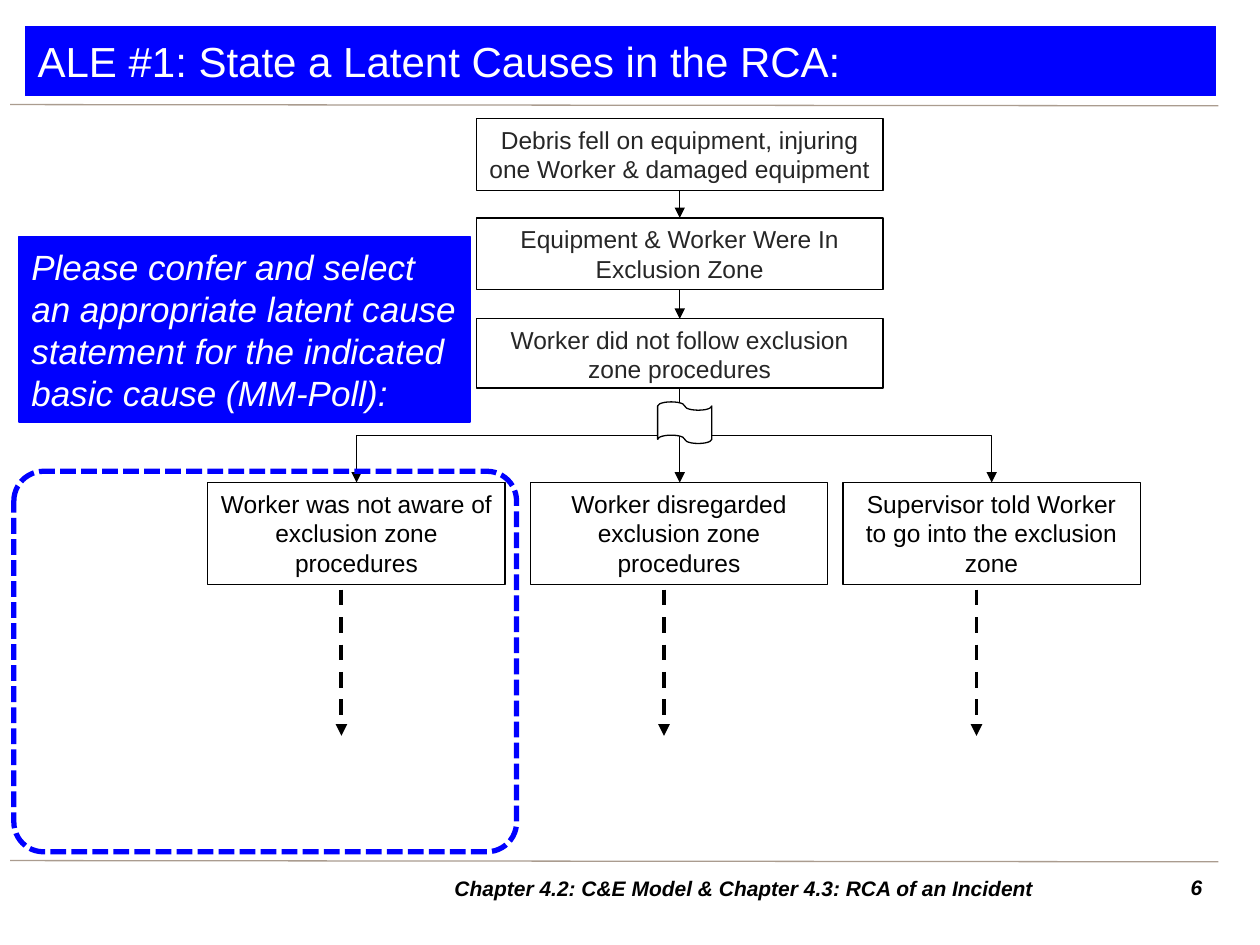
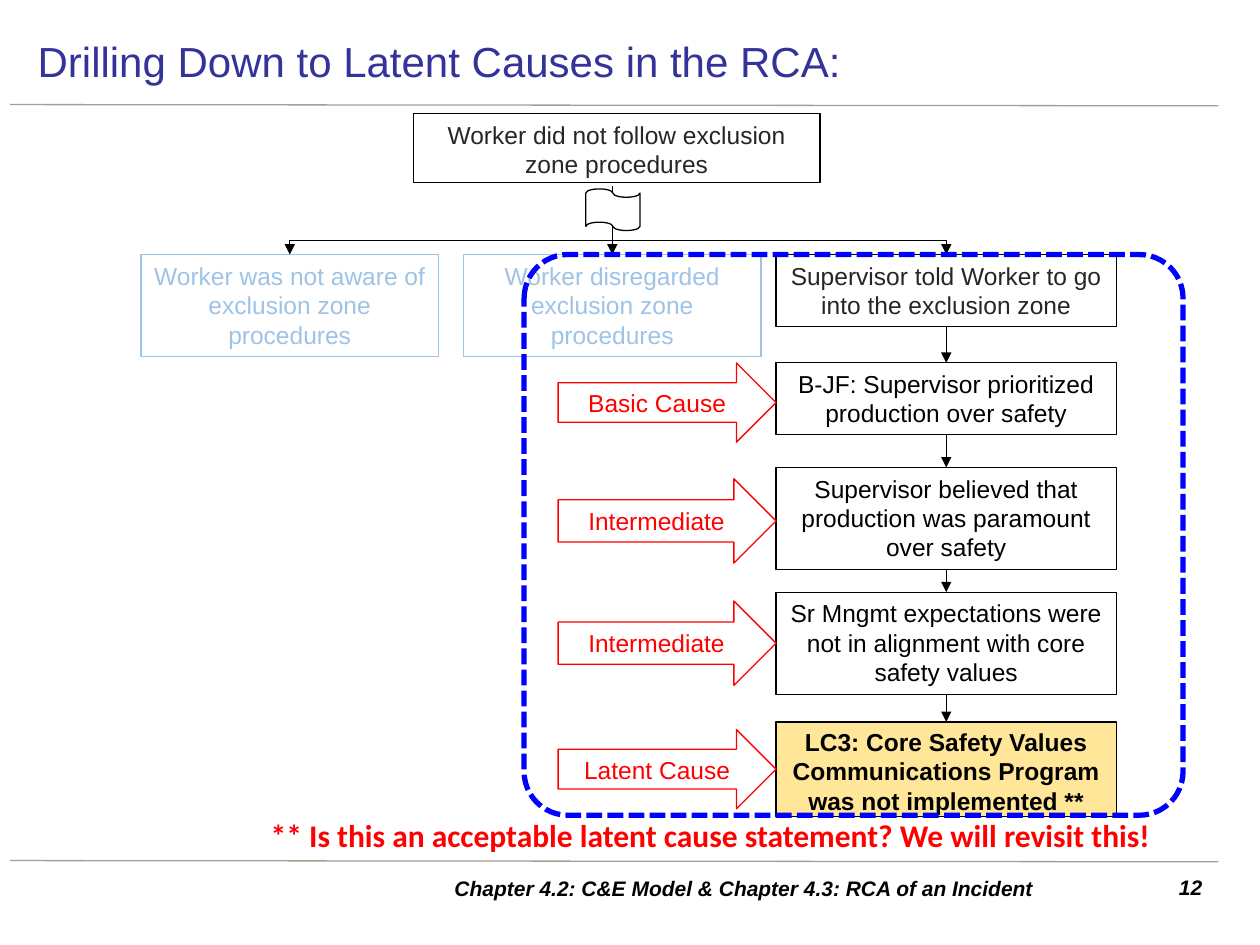
from itertools import pairwise
from lxml import etree
from pptx import Presentation
from pptx.dml.color import RGBColor
from pptx.enum.dml import MSO_LINE
from pptx.enum.shapes import MSO_CONNECTOR, MSO_SHAPE
from pptx.enum.text import MSO_ANCHOR, PP_ALIGN
from pptx.oxml.ns import qn
from pptx.util import Inches, Pt

COLORS = {
    "rule": "AA9C8F", "black": "000000", "ink": "262626", "white": "FFFFFF",
    "blue": "0000FF", "title": "333399", "faded": "9DC3E6",
    "red": "FF0000", "gold": "FFE699",
}
FOOTER = "Chapter 4.2: C&E Model & Chapter 4.3: RCA of an Incident"
TITLE_AREA = (0.2, 0.21, 9.45, 0.55)

NOT_FOLLOWED = "Worker did not follow exclusion zone procedures"
NOT_AWARE = "Worker was not aware of exclusion zone procedures"
DISREGARDED = "Worker disregarded exclusion zone procedures"
TOLD = "Supervisor told Worker to go into the exclusion zone"

ALE_TITLE = "ALE #1: State a Latent Causes in the RCA:"
ALE_PROMPT = ("Please confer and select an appropriate latent cause statement "
              "for the indicated basic cause (MM-Poll):")
ALE_CHAIN = [
    ("Debris fell on equipment, injuring one Worker & damaged equipment", 0.94, 0.57),
    ("Equipment & Worker Were In Exclusion Zone", 1.73, 0.57),
    (NOT_FOLLOWED, 2.53, 0.55),
]
ALE_CAUSES = [(NOT_AWARE, 1.65), (DISREGARDED, 4.21), (TOLD, 6.69)]

DRILL_TITLE = "Drilling Down to Latent Causes in the RCA:"
DRILL_FADED = [(NOT_AWARE, 1.12), (DISREGARDED, 3.68)]
DRILL_CHAIN = [
    (TOLD, 2.02, 0.57),
    ("B-JF: Supervisor prioritized production over safety", 2.88, 0.57),
    ("Supervisor believed that production was paramount over safety", 3.71, 0.81),
    ("Sr Mngmt expectations were not in alignment with core safety values", 4.7, 0.81),
]
DRILL_LATENT = ("LC3: Core Safety Values Communications Program was not implemented **", 5.73, 0.75)
DRILL_LABELS = [
    ("Basic Cause", 2.88, 0.63), ("Intermediate", 3.8, 0.67),
    ("Intermediate", 4.77, 0.67), ("Latent Cause", 5.79, 0.63),
]
DRILL_NOTE = "** Is this an acceptable latent cause statement? We will revisit this!"

CHAIN_W, CAUSE_W, CAUSE_H, DRILL_W = 3.23, 2.36, 0.81, 2.7


def rgb(name):
    return RGBColor.from_string(COLORS[name])


def write(shape, text, size, color, align=PP_ALIGN.LEFT, anchor=MSO_ANCHOR.TOP,
          bold=False, italic=False, face="Arial"):
    frame = shape.text_frame
    frame.word_wrap = True
    frame.vertical_anchor = anchor
    frame.text = text
    paragraph = frame.paragraphs[0]
    paragraph.alignment = align
    font = paragraph.font
    font.name, font.size, font.bold, font.italic = face, Pt(size), bold, italic
    font.color.rgb = rgb(color)


def label(slide, area, text, size, color, **style):
    write(slide.shapes.add_textbox(*map(Inches, area)), text, size, color, **style)


def panel(slide, kind, area, fill="white", line="black", width=0.75):
    shape = slide.shapes.add_shape(kind, *map(Inches, area))
    shape.shadow.inherit = False
    if fill:
        shape.fill.solid()
        shape.fill.fore_color.rgb = rgb(fill)
    else:
        shape.fill.background()
    shape.line.color.rgb = rgb(line)
    shape.line.width = Pt(width)
    return shape


def cause(slide, area, text, color="black", line="black", fill="white", bold=False):
    box = panel(slide, MSO_SHAPE.RECTANGLE, area, fill, line)
    write(box, text, 14, color, PP_ALIGN.CENTER, bold=bold)
    return box


def banner(slide, area, text, size, italic=False):
    box = panel(slide, MSO_SHAPE.RECTANGLE, area, "blue", "blue")
    write(box, text, size, "white", anchor=MSO_ANCHOR.MIDDLE, italic=italic)


def highlight(slide, area):
    frame = panel(slide, MSO_SHAPE.ROUNDED_RECTANGLE, area, None, "blue", 3)
    frame.adjustments[0] = 0.078
    frame.line.dash_style = MSO_LINE.SQUARE_DOT


def connect(slide, x1, y1, x2, y2, kind=MSO_CONNECTOR.STRAIGHT, color="black",
            width=0.5, arrow=True, dash=None):
    connector = slide.shapes.add_connector(kind, *map(Inches, (x1, y1, x2, y2)))
    connector.line.color.rgb = rgb(color)
    connector.line.width = Pt(width)
    if dash:
        connector.line.dash_style = dash
    if arrow:
        etree.SubElement(connector.line._get_or_add_ln(), qn("a:tailEnd"), type="triangle")
    etree.SubElement(connector._element.spPr, qn("a:effectLst"))
    return connector


def elbow(slide, x1, y1, x2, y2):
    drop, reach = y2 - y1, abs(x2 - x1)
    left = (x1 + x2 - drop) / 2
    top = (y1 + y2 - reach) / 2
    connector = connect(slide, left, top, left + drop, top + reach, MSO_CONNECTOR.ELBOW)
    xfrm = connector._element.spPr.find(qn("a:xfrm"))
    xfrm.set("rot", str((270 if x2 > x1 else 90) * 60000))
    if x2 > x1:
        xfrm.set("flipH", "1")


def fork(slide, x, stem_top, fork_top, bottom, side_xs, flag_left, flag_top):
    for side_x in side_xs:
        elbow(slide, x, fork_top, side_x, bottom)
    connect(slide, x, stem_top, x, bottom)
    flag = panel(slide, MSO_SHAPE.WAVE, (flag_left, flag_top, 0.43, 0.33))
    geometry = flag._element.spPr.find(qn("a:prstGeom"))
    geometry.set("prst", "flowChartPunchedTape")
    for guide in geometry.findall(qn("a:avLst")):
        guide.clear()
    flag._element.spPr.find(qn("a:xfrm")).set("flipH", "1")


def chain(slide, steps, left, width, color):
    for text, top, height in steps:
        cause(slide, (left, top, width, height), text, color)


def link(slide, steps, x):
    for (_, top, height), (_, next_top, _) in pairwise(steps):
        connect(slide, x, top + height, x, next_top)


def new_slide(deck, number):
    slide = deck.slides.add_slide(deck.slide_layouts[6])
    for y in (0.83, 6.83):
        connect(slide, 0.08, y, 9.67, y + 0.01, color="rule", width=0.75, arrow=False)
    label(slide, (9.06, 6.89, 0.58, 0.31), str(number), 12, "black",
          align=PP_ALIGN.RIGHT, bold=True, italic=True)
    label(slide, (2.95, 6.89, 5.91, 0.31), FOOTER, 12, "black", align=PP_ALIGN.CENTER,
          anchor=MSO_ANCHOR.MIDDLE, bold=True, italic=True)
    return slide


def build_ale(deck):
    slide = new_slide(deck, 6)
    chain_left, cause_top = 3.78, 3.83
    middle = chain_left + CHAIN_W / 2
    chain(slide, ALE_CHAIN, chain_left, CHAIN_W, "ink")
    link(slide, ALE_CHAIN, middle)
    for text, left in ALE_CAUSES:
        cause(slide, (left, cause_top, CAUSE_W, CAUSE_H), text)
        x = left + CAUSE_W / 2 - 0.12
        connect(slide, x, 4.68, x, 5.84, width=2.25, dash=MSO_LINE.DASH)
    sides = [left + CAUSE_W / 2 for _, left in ALE_CAUSES[::2]]
    fork(slide, middle, 3.08, 3.08, cause_top, sides, 5.22, 3.19)
    banner(slide, TITLE_AREA, ALE_TITLE, 24)
    banner(slide, (0.15, 1.88, 3.58, 1.47), ALE_PROMPT, 20, italic=True)
    highlight(slide, (0.11, 3.74, 3.99, 3.02))


def build_drill(deck):
    slide = new_slide(deck, 12)
    label(slide, TITLE_AREA, DRILL_TITLE, 24, "title", anchor=MSO_ANCHOR.MIDDLE)
    cause_top, chain_left = 2.02, 6.16
    chain_x = chain_left + DRILL_W / 2
    cause(slide, (3.28, 0.9, CHAIN_W, 0.55), NOT_FOLLOWED, "ink")
    for text, left in DRILL_FADED:
        cause(slide, (left, cause_top, CAUSE_W, CAUSE_H), text, "faded", "faded")
    chain(slide, DRILL_CHAIN[:1], chain_left, DRILL_W, "ink")
    chain(slide, DRILL_CHAIN[1:], chain_left, DRILL_W, "black")
    text, top, height = DRILL_LATENT
    latent = cause(slide, (chain_left, top, DRILL_W, height), text, fill="gold", bold=True)
    frame = latent.text_frame
    frame.margin_left = frame.margin_right = frame.margin_top = Inches(0.04)
    frame.margin_bottom = 0
    link(slide, DRILL_CHAIN + [DRILL_LATENT], chain_x)
    far_left, middle = (left + CAUSE_W / 2 for _, left in DRILL_FADED)
    fork(slide, middle, 1.48, 1.8, cause_top, [far_left, chain_x], 4.65, 1.5)
    for text, top, height in DRILL_LABELS:
        arrow = panel(slide, MSO_SHAPE.RIGHT_ARROW, (4.43, top, 1.73, height), line="red")
        write(arrow, text, 14, "red", PP_ALIGN.CENTER, MSO_ANCHOR.MIDDLE)
    highlight(slide, (4.16, cause_top, 5.23, 4.45))
    label(slide, (2.05, 6.43, 7.44, 0.4), DRILL_NOTE, 18, "red", bold=True, face="Calibri")


deck = Presentation()
deck.slide_width, deck.slide_height = Inches(10), Inches(7.5)
build_ale(deck)
build_drill(deck)
deck.save("out.pptx")
